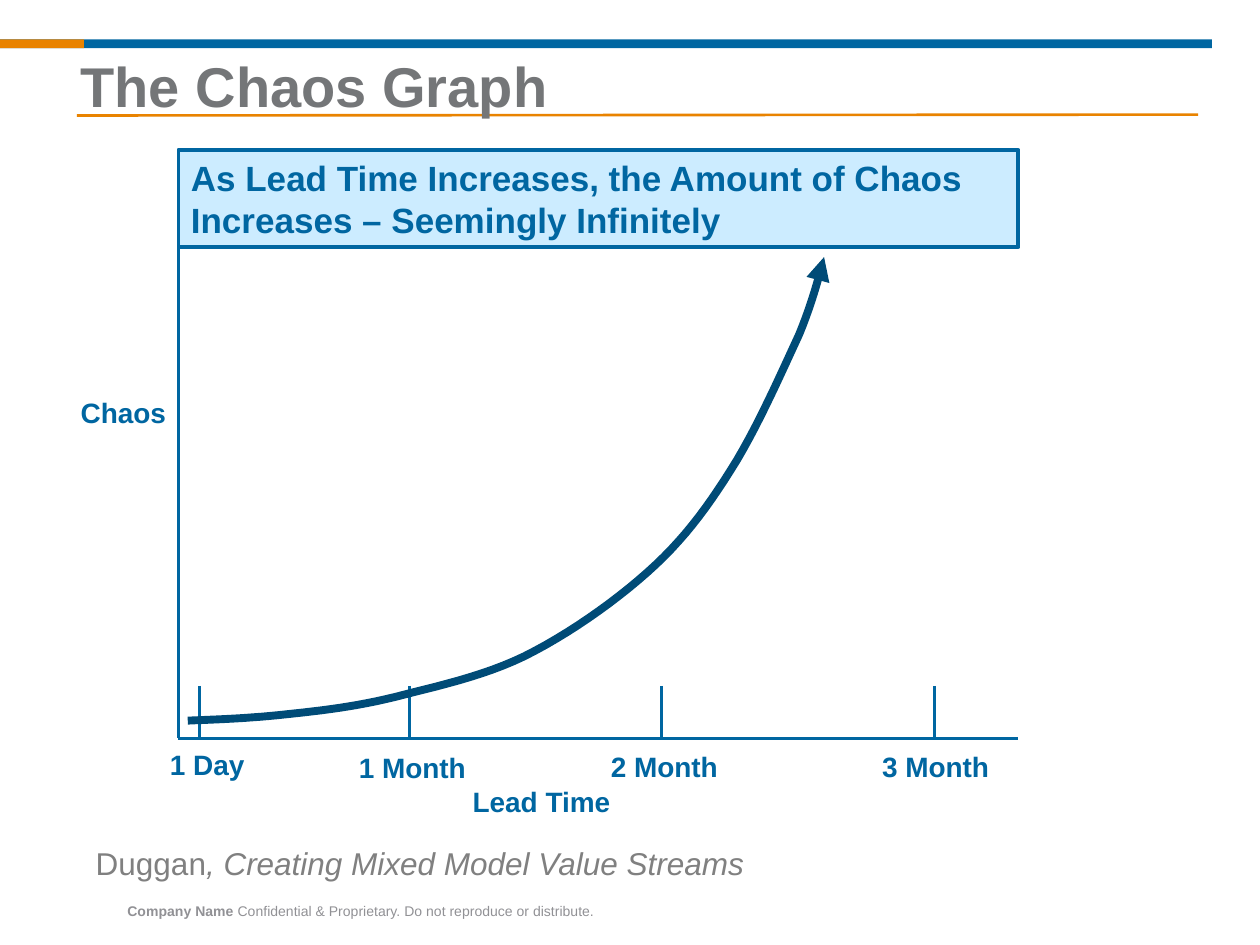
from lxml import etree
from pptx import Presentation
from pptx.dml.color import RGBColor
from pptx.enum.shapes import MSO_CONNECTOR, MSO_SHAPE
from pptx.enum.text import MSO_ANCHOR, PP_ALIGN
from pptx.oxml.ns import qn
from pptx.util import Pt

RECTANGLE = MSO_SHAPE.RECTANGLE
STRAIGHT = MSO_CONNECTOR.STRAIGHT
LEFT, RIGHT = PP_ALIGN.LEFT, PP_ALIGN.RIGHT
TOP = MSO_ANCHOR.TOP

COLORS = {
    "blue": "0066A1",
    "orange": "E98300",
    "navy": "004B77",
    "pale": "CCECFF",
    "title": "747678",
    "source": "808080",
    "footer": "919195",
}

FORMATS = {
    "title": {"size": Pt(32), "bold": True, "color": "title"},
    "banner": {"size": Pt(20), "bold": True, "color": "blue"},
    "label": {"size": Pt(16), "bold": True, "color": "blue"},
    "source": {"size": Pt(18), "color": "source"},
    "work": {"size": Pt(18), "italic": True, "color": "source"},
    "owner": {"size": Pt(8), "bold": True, "color": "footer"},
    "notice": {"size": Pt(8), "bold": False, "color": "footer"},
}

BARS = [(692.6, "blue"), (48, "orange")]
BANNER = "As Lead Time Increases, the Amount of Chaos Increases – Seemingly Infinitely"
TICKS = [
    ("1 Day", 114, 90, 423.5),
    ("1 Month", 234, 198, 425.5),
    ("2 Month", 378, 342, 425),
    ("3 Month", 534, 497, 425),
]
AXIS_LABELS = [("Chaos", 39, 222.5, 85), ("Lead Time", 263, 444.5, 121)]
SOURCE = [("Duggan", "source"), (", Creating Mixed Model Value Streams", "work")]
FOOTER = [
    ("Company Name", "owner"),
    (" Confidential & Proprietary. Do not reproduce or distribute.", "notice"),
]

AXIS_LEFT, AXIS_RIGHT, AXIS_TOP, AXIS_BASE = 102, 582, 98, 422
TICK_HEIGHT = 30
LABEL_WIDTH, LABEL_HEIGHT = 85, 26.6
CURVE_START = (107.3, 411.8)
CURVE_PARTS = [
    ((125.3, 411.1), (144, 410.4), (163.4, 408.2)),
    ((183.6, 406.1), (203, 403.9), (226.1, 398.2)),
    ((248.4, 392.4), (275.8, 386.6), (299.5, 375.1)),
    ((324, 362.9), (349.9, 344.9), (370.1, 326.9)),
    ((389.5, 309.6), (403.2, 291.6), (417.6, 268.6)),
    ((432, 246.2), (447.1, 211.7), (456.5, 191.5)),
    ((465.1, 171.4), (470.9, 146.9), (470.9, 146.9)),
]
CURVE_STEPS = 12

deck = Presentation()
deck.slide_width, deck.slide_height = Pt(720), Pt(540)
page = deck.slides.add_slide(deck.slide_layouts[6])


def color(name):
    return RGBColor.from_string(COLORS[name])


def write(shape, spans, align=LEFT, margin=None, wrap=True, spacing=1):
    frame = shape.text_frame
    frame.word_wrap = wrap
    frame.vertical_anchor = TOP
    if margin is not None:
        for side in ("left", "top", "right", "bottom"):
            setattr(frame, f"margin_{side}", Pt(margin))
    para = frame.paragraphs[0]
    para.alignment = align
    para.line_spacing = spacing
    for text, style in spans:
        span = para.add_run()
        span.text = text
        span.font.name = "Arial"
        for key, value in FORMATS[style].items():
            if key == "color":
                span.font.color.rgb = color(value)
            else:
                setattr(span.font, key, value)


def add_text(left, top, width, height, spans, **options):
    box = page.shapes.add_textbox(Pt(left), Pt(top), Pt(width), Pt(height))
    write(box, spans, **options)


def add_box(left, top, width, height, fill):
    box = page.shapes.add_shape(RECTANGLE, Pt(left), Pt(top), Pt(width), Pt(height))
    box.shadow.inherit = False
    box.fill.solid()
    box.fill.fore_color.rgb = color(fill)
    box.line.fill.background()
    return box


def set_line(shape, name, width):
    shape.line.color.rgb = color(name)
    shape.line.width = Pt(width)


def add_line(x1, y1, x2, y2, name="blue", width=2.25):
    line = page.shapes.add_connector(STRAIGHT, Pt(x1), Pt(y1), Pt(x2), Pt(y2))
    set_line(line, name, width)
    etree.SubElement(line._element.spPr, qn("a:effectLst"))


def curve_points():
    start = CURVE_START
    for first, second, end in CURVE_PARTS:
        for step in range(1, CURVE_STEPS + 1):
            t = step / CURVE_STEPS
            u = 1 - t
            yield tuple(
                Pt(u**3 * a + 3 * u * u * t * b + 3 * u * t * t * c + t**3 * d)
                for a, b, c, d in zip(start, first, second, end)
            )
        start = end


for bar_width, bar_color in BARS:
    add_box(0, 22.5, bar_width, 5, bar_color)
add_line(44, 66, 684.7, 65.5, "orange", 1.5)
add_text(39, 30.2, 644, 78, [("The Chaos Graph", "title")], spacing=0.9)

add_line(AXIS_LEFT, AXIS_TOP, AXIS_LEFT, AXIS_BASE)
add_line(AXIS_LEFT, AXIS_BASE, AXIS_RIGHT, AXIS_BASE)
for text, tick, left, top in TICKS:
    add_line(tick, AXIS_BASE - TICK_HEIGHT, tick, AXIS_BASE)
    add_text(left, top, LABEL_WIDTH, LABEL_HEIGHT, [(text, "label")])
for text, left, top, width in AXIS_LABELS:
    add_text(left, top, width, LABEL_HEIGHT, [(text, "label")])

builder = page.shapes.build_freeform(Pt(CURVE_START[0]), Pt(CURVE_START[1]))
builder.add_line_segments(curve_points(), close=False)
curve = builder.convert_to_shape()
curve.shadow.inherit = False
curve.fill.background()
set_line(curve, "navy", 4.5)
etree.SubElement(curve.line._get_or_add_ln(), qn("a:tailEnd"), type="triangle")

banner = add_box(AXIS_LEFT, 85.7, AXIS_RIGHT - AXIS_LEFT, 55.6, "pale")
set_line(banner, "blue", 2.25)
write(banner, [(BANNER, "banner")])

add_text(54.7, 482.5, 594, 22, SOURCE, margin=0)
add_text(62, 512, 285, 17, FOOTER, align=RIGHT, wrap=False)

deck.save("out.pptx")
